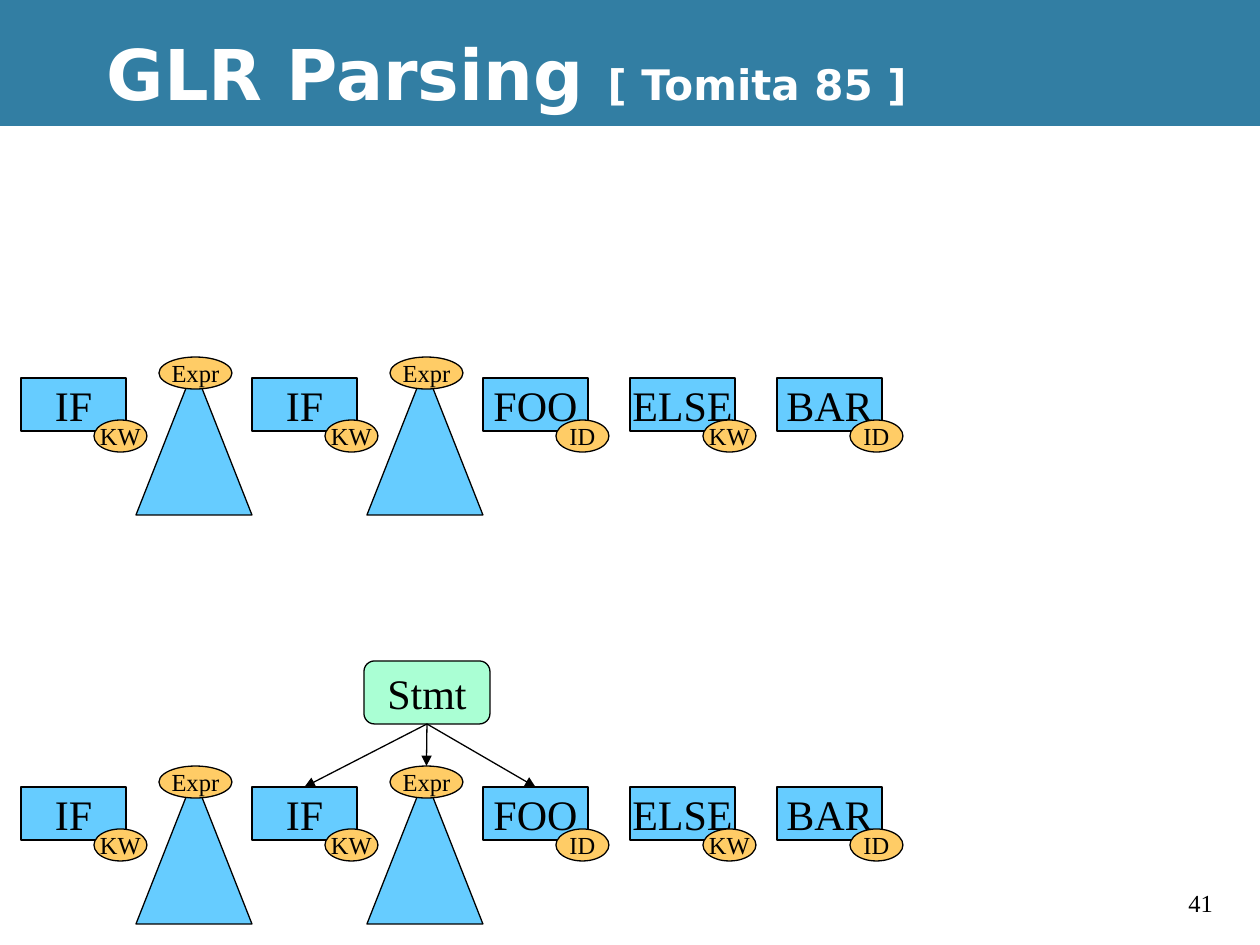
from lxml import etree
from pptx import Presentation
from pptx.dml.color import RGBColor
from pptx.enum.shapes import MSO_CONNECTOR, MSO_SHAPE
from pptx.enum.text import MSO_ANCHOR, MSO_AUTO_SIZE, PP_ALIGN
from pptx.oxml.ns import qn
from pptx.util import Emu, Pt

RECT, OVAL = MSO_SHAPE.RECTANGLE, MSO_SHAPE.OVAL
TRIANGLE, ROUND = MSO_SHAPE.ISOSCELES_TRIANGLE, MSO_SHAPE.ROUNDED_RECTANGLE
STRAIGHT = MSO_CONNECTOR.STRAIGHT
MIDDLE, LEFT, CENTER = MSO_ANCHOR.MIDDLE, PP_ALIGN.LEFT, PP_ALIGN.CENTER
TOP_SITE, BOTTOM_SITE = 0, 2

COLORS = {"white": "FFFFFF", "black": "000000", "band": "327EA3",
          "token": "66CCFF", "tag": "FFCC66", "stmt": "AAFFD4"}
TITLE_FONT, BODY_FONT = "DejaVu Sans", "Times New Roman"

TITLE = [("GLR Parsing ", 40), ("[ Tomita 85 ]", 24)]
PAGE = "41"
# (left, word, tag); a part without a word is a subtree
TOKENS = [(21, "IF", "KW"), (136, "", "Expr"), (252, "IF", "KW"),
          (367, "", "Expr"), (483, "FOO", "ID"), (630, "ELSE", "KW"),
          (777, "BAR", "ID")]
ROW_TOPS = [378, 787]
STMT_CHILDREN = [2, 3, 4]


def px(n):
    return Emu(round(n * 914400 / 126))


def color(name):
    return RGBColor.from_string(COLORS[name])


def style_run(r, size, font, name):
    r.font.size, r.font.name = Pt(size), font
    r.font.color.rgb = color(name)


def add_box(shapes, kind, box, fill, text="", size=14, outlined=True):
    sp = shapes.add_shape(kind, *map(px, box))
    sp.shadow.inherit = False
    sp.fill.solid()
    sp.fill.fore_color.rgb = color(fill)
    if outlined:
        sp.line.color.rgb = color("black")
        sp.line.width = Pt(0.75)
    else:
        sp.line.fill.background()
    if text:
        tf = sp.text_frame
        tf.text, tf.word_wrap, tf.vertical_anchor = text, False, MIDDLE
        p = tf.paragraphs[0]
        p.alignment = CENTER
        style_run(p.runs[0], size, BODY_FONT, "black")
    return sp


def add_token(slide, left, top, word, tag):
    """Add one grouped token or subtree and return the shape an arrow points to."""
    shapes = slide.shapes.add_group_shape().shapes
    if word:
        head = add_box(shapes, RECT, (left, top, 105, 53), "token", word, 24)
        add_box(shapes, OVAL, (left + 73, top + 42, 53, 32), "tag", tag)
        return head
    add_box(shapes, TRIANGLE, (left, top - 10, 116, 147), "token")
    return add_box(shapes, OVAL, (left + 23, top - 21, 73, 32), "tag", tag)


def add_arrow(slide, parent, child):
    line = slide.shapes.add_connector(STRAIGHT, 0, 0, 0, 0)
    line.begin_connect(parent, BOTTOM_SITE)
    line.end_connect(child, TOP_SITE)
    line.line.color.rgb = color("black")
    line.line.width = Pt(0.75)
    etree.SubElement(line.line._get_or_add_ln(), qn("a:tailEnd"), type="triangle")
    etree.SubElement(line._element.spPr, qn("a:effectLst"))


def add_title(slide):
    title = slide.shapes.title
    title.left, title.top, title.width, title.height = map(px, (94, 10, 1166, 126))
    tf = title.text_frame
    tf.auto_size, tf.vertical_anchor = MSO_AUTO_SIZE.NONE, MIDDLE
    p = tf.paragraphs[0]
    p.alignment = LEFT
    for text, size in TITLE:
        r = p.add_run()
        r.text = text
        style_run(r, size, TITLE_FONT, "white")
        r.font.bold = True


def main():
    prs = Presentation()
    prs.slide_width, prs.slide_height = px(1260), px(945)
    slide = prs.slides.add_slide(prs.slide_layouts[5])
    slide.background.fill.solid()
    slide.background.fill.fore_color.rgb = color("black")

    bands = [((0, 126, 1260, 819), "white"), ((0, 0, 1260, 126), "band")]
    for i, (box, fill) in enumerate(bands):
        band = add_box(slide.shapes, RECT, box, fill, outlined=False)
        slide.shapes._spTree.insert(2 + i, band._element)  # behind the title
    add_title(slide)

    number = slide.shapes.add_textbox(*map(px, (1176, 882, 63, 42)))
    number.text_frame.text = PAGE
    style_run(number.text_frame.paragraphs[0].runs[0], 14, BODY_FONT, "black")

    for top in ROW_TOPS:
        heads = [add_token(slide, left, top, word, tag)
                 for left, word, tag in TOKENS]

    stmt = add_box(slide.shapes, ROUND, (364, 661, 126, 63), "stmt", "Stmt", 24)
    for i in STMT_CHILDREN:
        add_arrow(slide, stmt, heads[i])
    prs.save("out.pptx")


if __name__ == "__main__":
    main()
